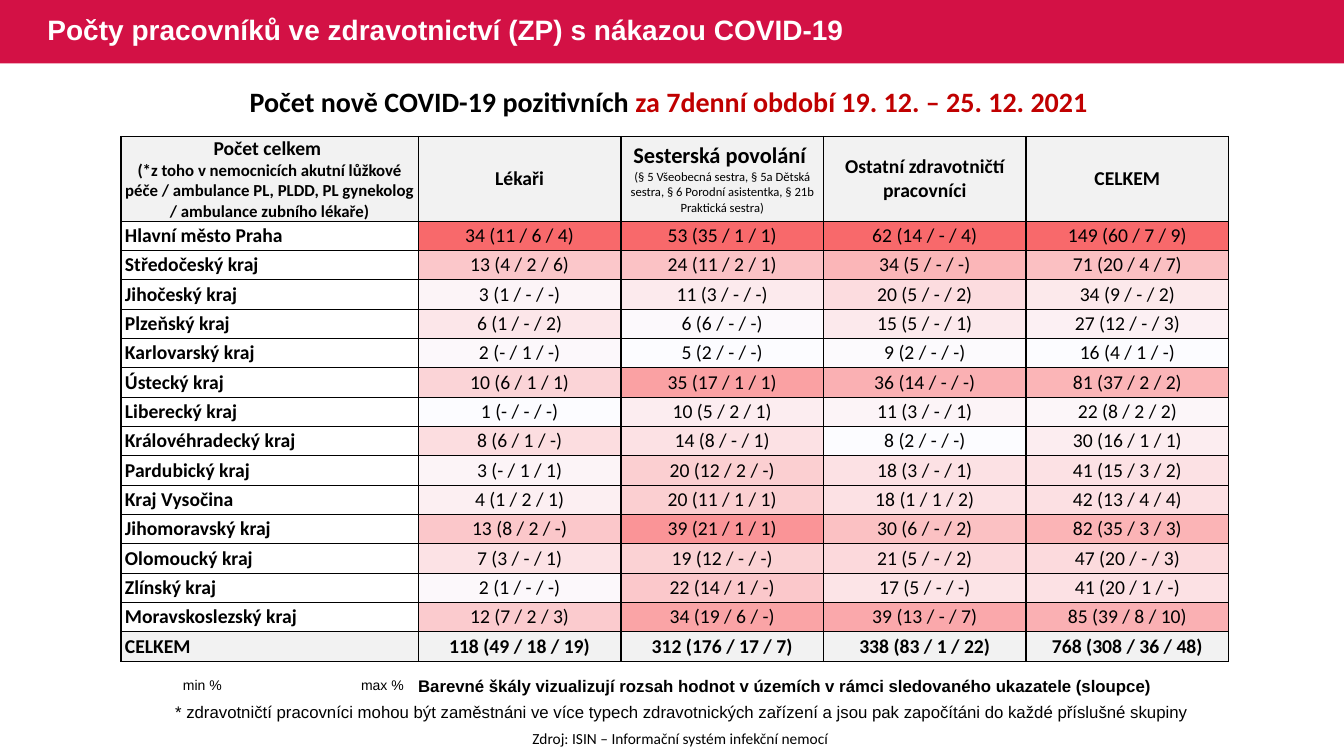
from math import ceil

from lxml import etree
from pptx import Presentation
from pptx import util as u
from pptx.dml.color import RGBColor
from pptx.enum import shapes, text
from pptx.oxml import ns

Pt = u.Pt
CENTER, LEFT = text.PP_ALIGN.CENTER, text.PP_ALIGN.LEFT
MIDDLE, TOP = text.MSO_ANCHOR.MIDDLE, text.MSO_ANCHOR.TOP
CRIMSON, GREY, BLACK, WHITE, RED = "D31145", "F2F2F2", "000000", "FFFFFF", "C00000"
SCALE_LOW, SCALE_HIGH = (252, 252, 255), (248, 105, 107)
TABLE_LEFT, TABLE_TOP, HEADER_HEIGHT, ROW_HEIGHT = 86.4, 97.5, 60.5, 20.95
REGION_WIDTH, GROUP_WIDTH = 212.4, 144.72

HEADERS = [
    [("Počet celkem ", 14, True),
     ("(*z toho v nemocnicích akutní lůžkové péče / ambulance PL, PLDD, PL gynekolog "
      "/ ambulance zubního lékaře)", 12, True)],
    [("Lékaři", 14, True)],
    [("Sesterská povolání ", 16, True),
     ("(§ 5 Všeobecná sestra, § 5a Dětská sestra, § 6 Porodní asistentka, "
      "§ 21b Praktická sestra)", 9, False)],
    [("Ostatní zdravotničtí pracovníci", 14, True)],
    [("CELKEM", 14, True)],
]
REGIONS = [
    ("Hlavní město Praha", "34 (11 / 6 / 4)", "53 (35 / 1 / 1)", "62 (14 / - / 4)", "149 (60 / 7 / 9)"),
    ("Středočeský kraj", "13 (4 / 2 / 6)", "24 (11 / 2 / 1)", "34 (5 / - / -)", "71 (20 / 4 / 7)"),
    ("Jihočeský kraj", "3 (1 / - / -)", "11 (3 / - / -)", "20 (5 / - / 2)", "34 (9 / - / 2)"),
    ("Plzeňský kraj", "6 (1 / - / 2)", "6 (6 / - / -)", "15 (5 / - / 1)", "27 (12 / - / 3)"),
    ("Karlovarský kraj", "2 (- / 1 / -)", "5 (2 / - / -)", "9 (2 / - / -)", "16 (4 / 1 / -)"),
    ("Ústecký kraj", "10 (6 / 1 / 1)", "35 (17 / 1 / 1)", "36 (14 / - / -)", "81 (37 / 2 / 2)"),
    ("Liberecký kraj", "1 (- / - / -)", "10 (5 / 2 / 1)", "11 (3 / - / 1)", "22 (8 / 2 / 2)"),
    ("Královéhradecký kraj", "8 (6 / 1 / -)", "14 (8 / - / 1)", "8 (2 / - / -)", "30 (16 / 1 / 1)"),
    ("Pardubický kraj", "3 (- / 1 / 1)", "20 (12 / 2 / -)", "18 (3 / - / 1)", "41 (15 / 3 / 2)"),
    ("Kraj Vysočina", "4 (1 / 2 / 1)", "20 (11 / 1 / 1)", "18 (1 / 1 / 2)", "42 (13 / 4 / 4)"),
    ("Jihomoravský kraj", "13 (8 / 2 / -)", "39 (21 / 1 / 1)", "30 (6 / - / 2)", "82 (35 / 3 / 3)"),
    ("Olomoucký kraj", "7 (3 / - / 1)", "19 (12 / - / -)", "21 (5 / - / 2)", "47 (20 / - / 3)"),
    ("Zlínský kraj", "2 (1 / - / -)", "22 (14 / 1 / -)", "17 (5 / - / -)", "41 (20 / 1 / -)"),
    ("Moravskoslezský kraj", "12 (7 / 2 / 3)", "34 (19 / 6 / -)", "39 (13 / - / 7)", "85 (39 / 8 / 10)"),
]
TOTAL = ("CELKEM", "118 (49 / 18 / 19)", "312 (176 / 17 / 7)", "338 (83 / 1 / 22)", "768 (308 / 36 / 48)")


def color(hex_string):
    return RGBColor.from_string(hex_string)


def write(paragraph, words, size=14, bold=False, font="Calibri", ink=BLACK):
    run = paragraph.add_run()
    run.text = words
    run.font.size, run.font.bold, run.font.name = Pt(size), bold, font
    run.font.color.rgb = color(ink)


def scale_fill(value, column):
    share = (value - min(column)) / (max(column) - min(column))
    return "".join(f"{ceil(low + (high - low) * share):02X}"
                   for low, high in zip(SCALE_LOW, SCALE_HIGH))


class SlideBuilder:
    def __init__(self, slide):
        self.slide = slide

    def band(self, left, top, width, height, fill):
        band = self.slide.shapes.add_shape(
            shapes.MSO_SHAPE.RECTANGLE, Pt(left), Pt(top), Pt(width), Pt(height))
        band.shadow.inherit = False
        band.fill.solid()
        band.fill.fore_color.rgb = color(fill)
        band.line.fill.background()

    def label(self, left, top, width, height, runs, align=LEFT, anchor=TOP,
              insets=(7.2, 3.6), right_tab=None, spacing=None):
        frame = self.slide.shapes.add_textbox(
            Pt(left), Pt(top), Pt(width), Pt(height)).text_frame
        frame.word_wrap, frame.vertical_anchor = True, anchor
        frame.margin_left = frame.margin_right = Pt(insets[0])
        frame.margin_top = frame.margin_bottom = Pt(insets[1])
        paragraph = frame.paragraphs[0]
        paragraph.alignment = align
        if spacing:
            paragraph.line_spacing = spacing
        if right_tab:
            tabs = etree.SubElement(paragraph._p.get_or_add_pPr(), ns.qn("a:tabLst"))
            etree.SubElement(tabs, ns.qn("a:tab"), pos=str(Pt(right_tab)), algn="r")
        for words, style in runs:
            write(paragraph, words, **style)

    def table(self, left, top, widths, heights):
        table = self.slide.shapes.add_table(
            len(heights), len(widths), Pt(left), Pt(top), Pt(sum(widths)), Pt(sum(heights))).table
        table.first_row = table.horz_banding = False
        for column, width in zip(table.columns, widths):
            column.width = Pt(width)
        for row, height in zip(table.rows, heights):
            row.height = Pt(height)
        return table

    def cell(self, cell, lines=(), align=CENTER, fill=None, inset=0.72, border=True):
        cell.vertical_anchor = MIDDLE
        cell.margin_left = cell.margin_right = Pt(inset)
        cell.margin_top = cell.margin_bottom = 0
        for side in ("lnL", "lnR", "lnT", "lnB") if border else ():
            edge = etree.SubElement(cell._tc.get_or_add_tcPr(), ns.qn(f"a:{side}"), w=str(Pt(1)))
            paint = etree.SubElement(edge, ns.qn("a:solidFill"))
            etree.SubElement(paint, ns.qn("a:srgbClr"), val=BLACK)
        if fill:
            cell.fill.solid()
            cell.fill.fore_color.rgb = color(fill)
        else:
            cell.fill.background()
        frame = cell.text_frame
        for index, (words, size, bold) in enumerate(lines):
            paragraph = frame.add_paragraph() if index else frame.paragraphs[0]
            paragraph.alignment = align
            write(paragraph, words, size=size, bold=bold)
        if not lines:
            etree.SubElement(frame.paragraphs[0]._p, ns.qn("a:endParaRPr"), sz="1000")

    def heat_table(self):
        rows = len(REGIONS) + 1
        heat = self.table(TABLE_LEFT + REGION_WIDTH, TABLE_TOP + HEADER_HEIGHT,
                          [GROUP_WIDTH] * 4, [ROW_HEIGHT] * rows)
        for c in range(4):
            counts = [int(region[c + 1].split()[0]) for region in REGIONS]
            fills = [scale_fill(count, counts) for count in counts] + [None]
            for r, fill in enumerate(fills):
                self.cell(heat.cell(r, c), fill=fill, border=False)

    def count_table(self):
        body = REGIONS + [TOTAL]
        counts = self.table(TABLE_LEFT, TABLE_TOP, [REGION_WIDTH] + [GROUP_WIDTH] * 4,
                            [HEADER_HEIGHT] + [ROW_HEIGHT] * len(body))
        for c, lines in enumerate(HEADERS):
            self.cell(counts.cell(0, c), lines, fill=GREY, inset=2.88)
        for r, row in enumerate(body, 1):
            for c, words in enumerate(row):
                is_total, is_name = row is TOTAL, c == 0
                self.cell(counts.cell(r, c), [(words, 14, is_total or is_name)],
                          align=LEFT if is_name else CENTER,
                          fill=GREY if is_total else None,
                          inset=2.88 if is_name else 0.72)


def main():
    deck = Presentation()
    deck.slide_width, deck.slide_height = Pt(960), Pt(540)
    page = SlideBuilder(deck.slides.add_slide(deck.slide_layouts[6]))
    note = dict(size=12, font="Arial")
    heading = dict(size=20, bold=True)

    page.band(0, 0, 960, 45.2, CRIMSON)
    page.heat_table()
    page.label(235.5, 517, 501, 20.6,
               [("Zdroj: ISIN – Informační systém infekční nemocí", dict(size=11))], align=CENTER)
    page.label(26.8, 0, 619, 45.2,
               [("Počty pracovníků ve zdravotnictví (ZP) s nákazou COVID-19",
                 dict(size=20, bold=True, font="Arial", ink=WHITE))], anchor=MIDDLE, spacing=0.9)
    page.count_table()
    page.label(48, 57, 864, 31.5,
               [("Počet nově COVID-19 pozitivních ", heading),
                ("za 7denní období 19. 12. – 25. 12. 2021 ", dict(heading, ink=RED))], align=CENTER)
    page.label(291.6, 479, 556, 21.8,
               [("Barevné škály vizualizují rozsah hodnot v územích v rámci sledovaného "
                 "ukazatele (sloupce)", dict(note, bold=True))])
    page.label(118, 497.7, 739, 21.8,
               [("* zdravotničtí pracovníci mohou být zaměstnáni ve více typech zdravotnických "
                 "zařízení a jsou pak započítáni do každé příslušné skupiny", note)])
    page.label(125.3, 483.3, 168.5, 12.2, [("min %\tmax %", dict(size=10, font="Arial"))],
               insets=(5.4, 0), right_tab=157.8)
    deck.save("out.pptx")


if __name__ == "__main__":
    main()
